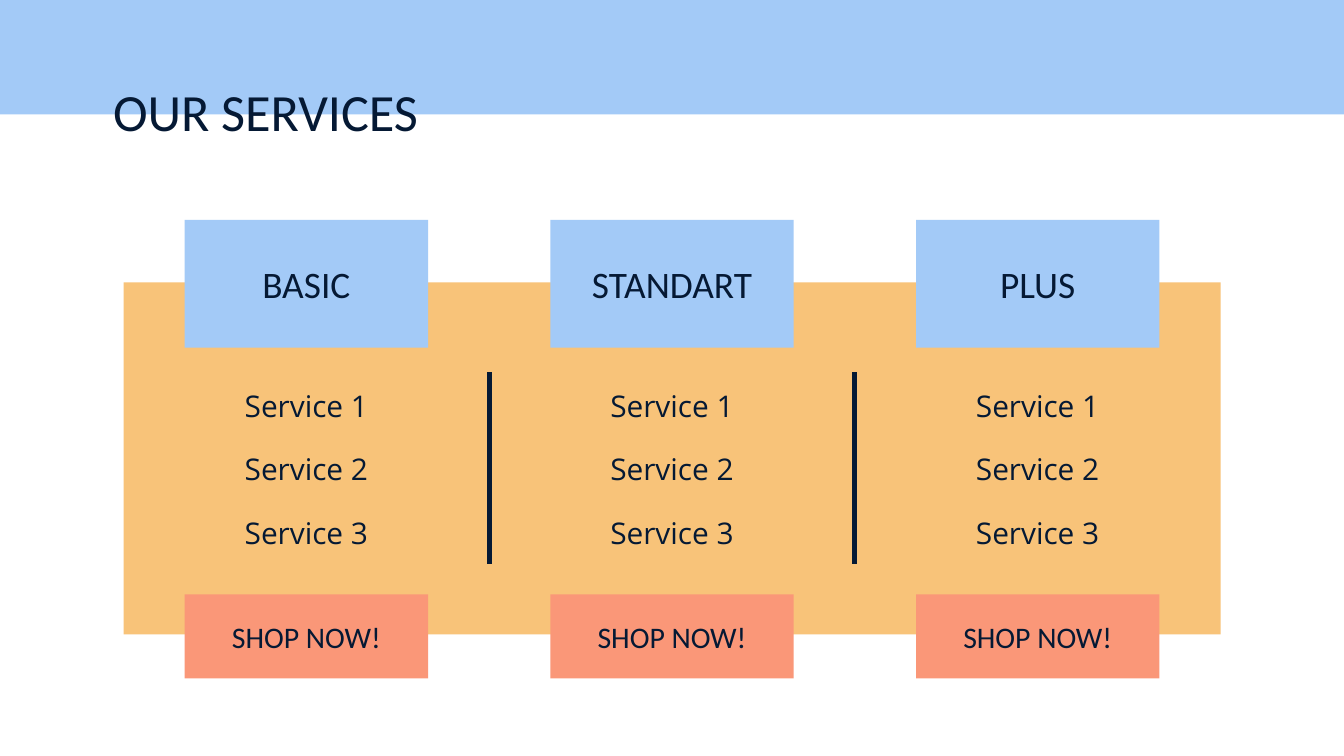
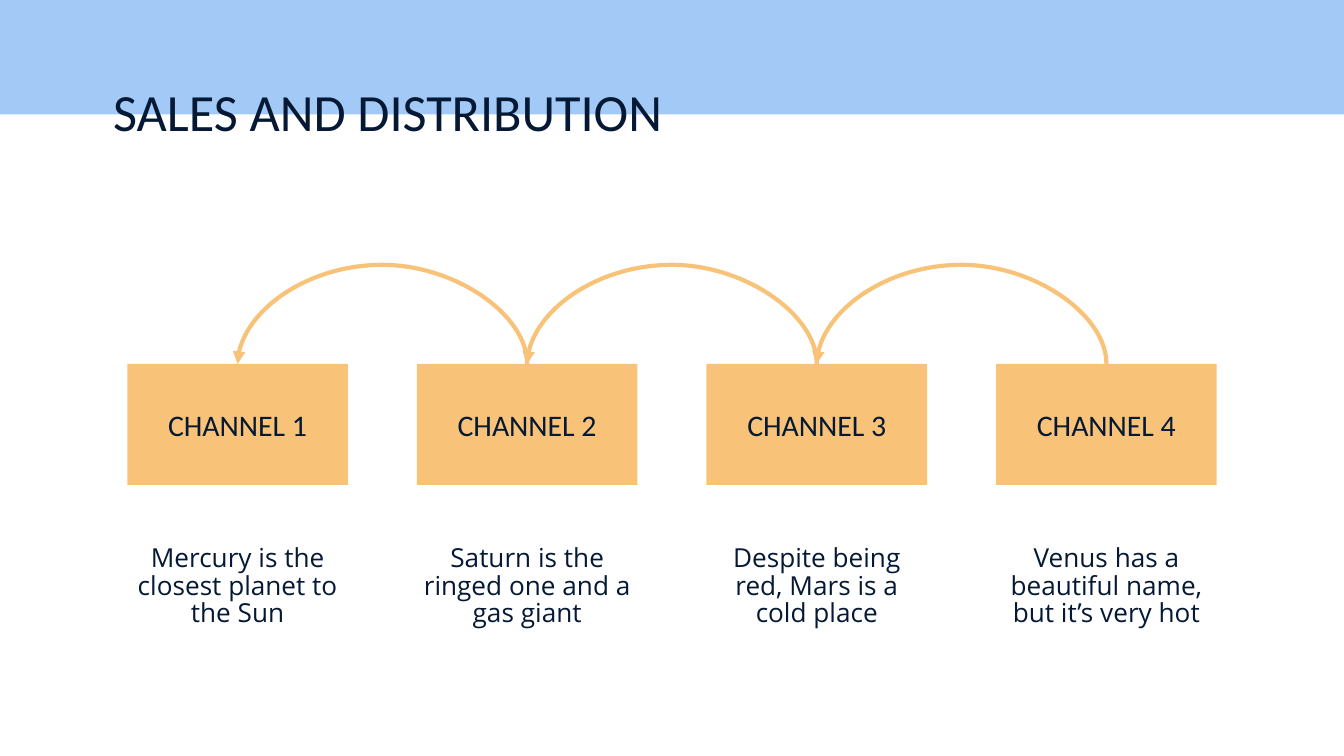
from lxml import etree
from pptx import Presentation
from pptx.dml.color import RGBColor
from pptx.enum.shapes import MSO_CONNECTOR, MSO_SHAPE
from pptx.enum.text import MSO_ANCHOR, PP_ALIGN
from pptx.oxml.ns import qn
from pptx.util import Pt

COLORS = {"blue": "A3CAF7", "sand": "F8C379", "coral": "FA9778", "navy": "051934"}
HEAD_FONT = "Calibri"
BODY_FONT = "Open Sans"
NO_STYLE = "{2D5ABB26-0587-4C30-8999-92F81FD0307C}"

prs = Presentation()
prs.slide_width, prs.slide_height = Pt(720), Pt(405)


def add_box(s, text, x, y, w, h, size=16, fill=None, font=HEAD_FONT, align=PP_ALIGN.CENTER):
    area = Pt(x), Pt(y), Pt(w), Pt(h)
    if fill:
        sp = s.shapes.add_shape(MSO_SHAPE.RECTANGLE, *area)
        sp.shadow.inherit = False
        sp.fill.solid()
        sp.fill.fore_color.rgb = RGBColor.from_string(COLORS[fill])
        sp.line.fill.background()
    else:
        sp = s.shapes.add_textbox(*area)
    tf = sp.text_frame
    tf.word_wrap = True
    tf.margin_left = tf.margin_right = tf.margin_top = tf.margin_bottom = Pt(7.2)
    tf.vertical_anchor = MSO_ANCHOR.MIDDLE if fill else MSO_ANCHOR.TOP
    tf.text = text
    p = tf.paragraphs[0]
    p.alignment = align
    for r in p.runs:
        r.font.size = Pt(size)
        r.font.name = font
        r.font.color.rgb = RGBColor.from_string(COLORS["navy"])
    return sp


def add_titled_slide(title):
    s = prs.slides.add_slide(prs.slide_layouts[6])
    add_box(s, "", 0, 0, 720, 61.3, fill="blue")
    return s, add_box(s, title, 53.5, 35.3, 556.5, 45.4, size=28, align=PP_ALIGN.LEFT)


s, title = add_titled_slide("OUR SERVICES")
plans = ["BASIC", "STANDART", "PLUS"]
panel_x, col_w, plan_w = 66.2, 195.9, 130.4
row_heights = [33, 34.5, 34.5]
add_box(s, "", panel_x, 151.3, col_w * len(plans), 188.6, fill="sand")

frame = s.shapes.add_table(len(row_heights), len(plans), Pt(panel_x), Pt(199.4),
                           Pt(col_w * len(plans)), Pt(sum(row_heights)))
table = frame.table
table.first_row = table.horz_banding = False
table._tbl.tblPr.find(qn("a:tableStyleId")).text = NO_STYLE
for col in table.columns:
    col.width = Pt(col_w)
for i, height in enumerate(row_heights):
    table.rows[i].height = Pt(height)
    for j in range(len(plans)):
        cell = table.cell(i, j)
        cell.margin_left = cell.margin_right = cell.margin_top = cell.margin_bottom = Pt(7.2)
        cell.vertical_anchor = MSO_ANCHOR.MIDDLE
        cell.text = f"Service {i + 1}"
        p = cell.text_frame.paragraphs[0]
        p.alignment = PP_ALIGN.CENTER
        r = p.runs[0]
        r.font.size = Pt(16)
        r.font.name = BODY_FONT
        r.font.color.rgb = RGBColor.from_string(COLORS["navy"])
        tcPr = cell._tc.get_or_add_tcPr()
        for tag, inner in (("a:lnL", j > 0), ("a:lnR", j < len(plans) - 1)):
            if inner:
                ln = etree.SubElement(tcPr, qn(tag), w=str(Pt(3)))
                solid = etree.SubElement(ln, qn("a:solidFill"))
                etree.SubElement(solid, qn("a:srgbClr"), val=COLORS["navy"])
        cell.fill.background()

for j, plan in enumerate(plans):
    x = panel_x + j * col_w + (col_w - plan_w) / 2
    add_box(s, "SHOP NOW!", x, 318.5, plan_w, 45, fill="coral")
    add_box(s, plan, x, 117.8, plan_w, 68.4, size=20, fill="blue")

s, title = add_titled_slide("SALES AND DISTRIBUTION")
captions = [
    "Mercury is the closest planet to the Sun",
    "Saturn is the ringed one and a gas giant",
    "Despite being red, Mars is a cold place",
    "Venus has a beautiful name, but it’s very hot",
]
channel_x, channel_y, channel_w, pitch = 68.2, 195, 118.2, 155.15
caption_w = 132
channels = []
for i, caption in enumerate(captions):
    x = channel_x + i * pitch
    channels.append(add_box(s, f"CHANNEL {i + 1}", x, channel_y, channel_w, 64.8, fill="sand"))
    sp = add_box(s, caption, x - (caption_w - channel_w) / 2, 285, caption_w, 61.2,
                 size=14, font=BODY_FONT)
    sp.text_frame.paragraphs[0].line_spacing = 0.88

arc_w, arc_rise = 0.05, 46.8
for i in range(len(channels) - 1):
    arc = s.shapes.add_connector(MSO_CONNECTOR.CURVE, 0, 0, 0, 0)
    arc.begin_connect(channels[i], 0)
    arc.end_connect(channels[i + 1], 0)
    arc.left = Pt(channel_x + channel_w / 2 + (i + 0.5) * pitch - arc_w / 2)
    arc.top = Pt(channel_y - pitch / 2)
    arc.width, arc.height = Pt(arc_w), Pt(pitch)
    arc.line.color.rgb = RGBColor.from_string(COLORS["sand"])
    arc.line.width = Pt(2.25)
    spPr = arc._element.spPr
    xfrm = spPr.find(qn("a:xfrm"))
    xfrm.set("rot", "16200000")
    xfrm.set("flipH", "1")
    guides = spPr.find(qn("a:prstGeom")).find(qn("a:avLst"))
    etree.SubElement(guides, qn("a:gd"), name="adj1", fmla=f"val {round(-arc_rise / arc_w * 100000)}")
    etree.SubElement(spPr.find(qn("a:ln")), qn("a:tailEnd"), type="triangle")
    etree.SubElement(spPr, qn("a:effectLst"))

prs.save("out.pptx")
